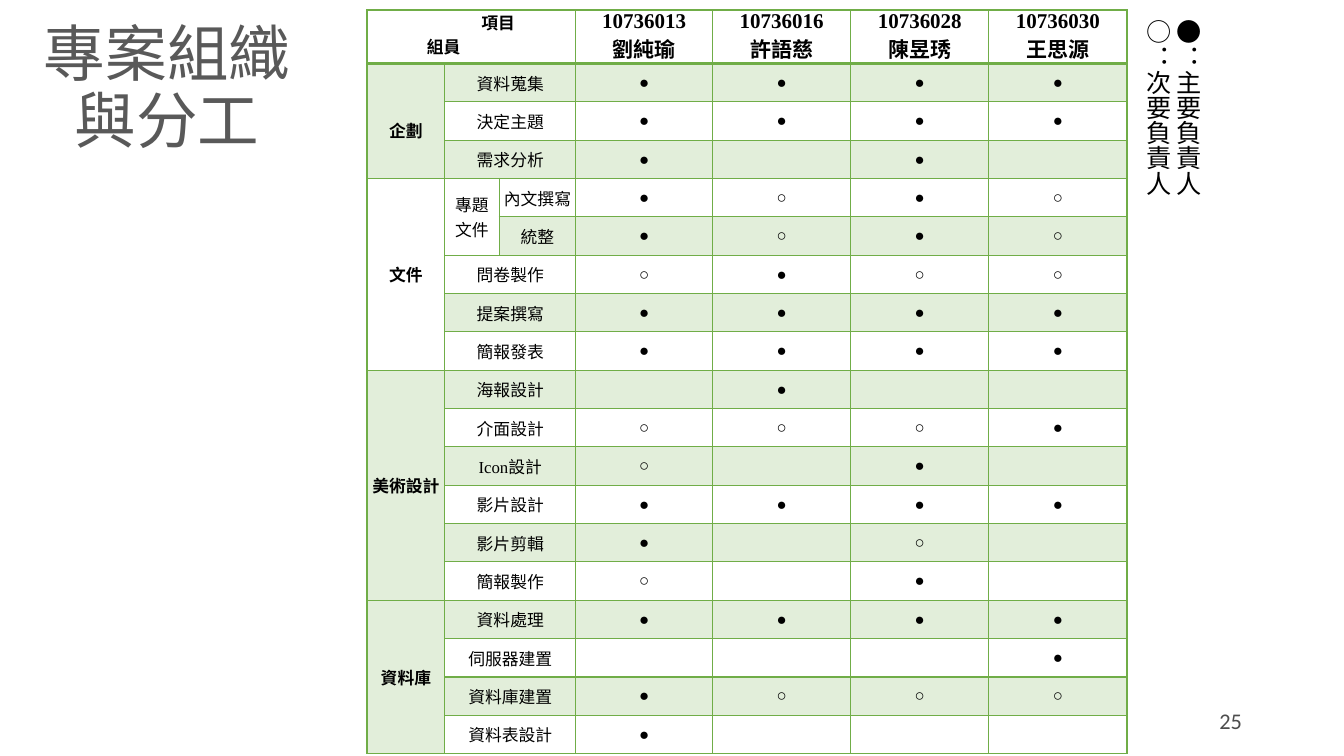
from dataclasses import dataclass

import pptx
import pptx.dml.color
import pptx.enum.text
import pptx.oxml
import pptx.oxml.ns
import pptx.util
from pptx.util import Cm

COLORS = {"green": "70AD47", "title": "595959", "number": "4D4D4D", "text": "000000"}
ALIGN = pptx.enum.text.PP_ALIGN
ANCHOR = pptx.enum.text.MSO_ANCHOR
AUTO_SIZE = pptx.enum.text.MSO_AUTO_SIZE
TABLE_FONT = "Times New Roman"


@dataclass
class Task:
    name: str
    marks: str  # one sign per member, "-" for no role


@dataclass
class Group:
    name: str
    tasks: list[Task]
    top_margin: float = 0


@dataclass
class TextBox:
    lines: list[str]
    left: float
    top: float
    width: float
    height: float
    font: str
    size: float
    color: str
    align: ALIGN = ALIGN.LEFT
    anchor: ANCHOR = ANCHOR.TOP
    margin: float | None = None
    spacing: float | None = None
    vertical: bool = False
    grow: bool = False


MEMBERS = ["10736013\n劉純瑜", "10736016\n許語慈", "10736028\n陳昱琇", "10736030\n王思源"]
GROUPS = [
    Group("企劃", [Task("資料蒐集", "●●●●"), Task("決定主題", "●●●●"),
                 Task("需求分析", "●-●-")], top_margin=0.48),
    Group("文件", [Task("內文撰寫", "●○●○"), Task("統整", "●○●○"), Task("問卷製作", "○●○○"),
                 Task("提案撰寫", "●●●●"), Task("簡報發表", "●●●●")]),
    Group("美術設計", [Task("海報設計", "-●--"), Task("介面設計", "○○○●"), Task("Icon設計", "○-●-"),
                   Task("影片設計", "●●●●"), Task("影片剪輯", "●-○-"), Task("簡報製作", "○-●-")]),
    Group("資料庫", [Task("資料處理", "●●●●"), Task("伺服器建置", "---●"),
                  Task("資料庫建置", "●○○○"), Task("資料表設計", "●---")]),
]
DOCUMENT_PARTS = ["內文撰寫", "統整"]
COL_WIDTHS = [1.96, 1.37, 1.93, 3.45, 3.48, 3.48, 3.48]
HEADER_HEIGHT, BODY_HEIGHT = 1.27, 17.39
FIRST_MARK_COL = 3

TEXT_BOXES = [
    TextBox(["25"], 23.93, 17.65, 7.62, 1.02, "Calibri", 16, "number",
            align=ALIGN.RIGHT, anchor=ANCHOR.MIDDLE),
    TextBox(["專案組織\n與分工"], -10.39, 0.58, 29.21, 3.38, "Roboto", 44, "title",
            align=ALIGN.CENTER, anchor=ANCHOR.MIDDLE, margin=0, spacing=0.9, grow=True),
    TextBox(["●：主要負責人", "○：次要負責人"], 28.4, 0.25, 2.06, 5.13, "Calibri", 18, "text",
            vertical=True, grow=True),
]


def set_font(p, name: str, size: float, color: str, bold: bool = False) -> None:
    p.font.name = name
    p.font.size = pptx.util.Pt(size)
    p.font.bold = bold
    p.font.color.rgb = pptx.dml.color.RGBColor.from_string(COLORS[color])


def style_cell(cell, row: int) -> None:
    """Green borders, and a pale green fill on every odd row."""
    tc_pr = cell._tc.get_or_add_tcPr()
    for side in "LRTB":
        thick = (row == 0 and side == "B") or (row == 1 and side == "T")
        tc_pr.append(pptx.oxml.parse_xml(
            f'<a:ln{side} {pptx.oxml.ns.nsdecls("a")} w="{pptx.util.Pt(2 if thick else 1)}">'
            f'<a:solidFill><a:srgbClr val="{COLORS["green"]}"/></a:solidFill></a:ln{side}>'))
    if row % 2:
        cell.fill.solid()
        cell.fill.fore_color.rgb = pptx.dml.color.RGBColor.from_string(COLORS["green"])
        rgb = tc_pr.find(pptx.oxml.ns.qn("a:solidFill"))[0]
        rgb.append(pptx.oxml.parse_xml(f'<a:alpha {pptx.oxml.ns.nsdecls("a")} val="20000"/>'))
    else:
        cell.fill.background()
    cell.margin_left = cell.margin_right = Cm(0.08)
    cell.margin_top = cell.margin_bottom = 0
    cell.vertical_anchor = ANCHOR.MIDDLE


def write_cell(cell, text: str, size: float = 12, bold: bool = False) -> None:
    cell.text_frame.text = text
    for p in cell.text_frame.paragraphs:
        p.alignment = ALIGN.CENTER
        set_font(p, TABLE_FONT, size, "text", bold)


def draw_table(s) -> None:
    n_tasks = sum(len(group.tasks) for group in GROUPS)
    frame = s.shapes.add_table(n_tasks + 1, len(COL_WIDTHS), Cm(9.25), Cm(0.25),
                               Cm(sum(COL_WIDTHS)), Cm(HEADER_HEIGHT + BODY_HEIGHT))
    table = frame.table
    table.first_row = table.horz_banding = False
    for column, width in zip(table.columns, COL_WIDTHS):
        column.width = Cm(width)
    for i, table_row in enumerate(table.rows):
        table_row.height = Cm(BODY_HEIGHT / n_tasks if i else HEADER_HEIGHT)
        for cell in table_row.cells:
            style_cell(cell, i)

    # Header row
    corner = table.cell(0, 0)
    corner.merge(table.cell(0, FIRST_MARK_COL - 1))
    write_cell(corner, "項目\n組員", bold=True)
    corner.vertical_anchor = ANCHOR.TOP
    for p, indent in zip(corner.text_frame.paragraphs, (2.8, 1.43)):
        p.alignment = ALIGN.LEFT
        p._p.get_or_add_pPr().set("marL", str(Cm(indent)))
    for j, member in enumerate(MEMBERS, FIRST_MARK_COL):
        write_cell(table.cell(0, j), member, 15, True)

    # Groups, tasks and marks
    row = 1
    for group in GROUPS:
        head = table.cell(row, 0)
        head.merge(table.cell(row + len(group.tasks) - 1, 0))
        write_cell(head, group.name, bold=True)
        head.margin_top = Cm(group.top_margin)
        for task in group.tasks:
            if task.name in DOCUMENT_PARTS:
                write_cell(table.cell(row, 2), task.name)
                if task.name == DOCUMENT_PARTS[0]:
                    table.cell(row, 1).merge(table.cell(row + len(DOCUMENT_PARTS) - 1, 1))
                    write_cell(table.cell(row, 1), "專題文件")
            else:
                table.cell(row, 1).merge(table.cell(row, 2))
                write_cell(table.cell(row, 1), task.name)
            for j, mark in enumerate(task.marks, FIRST_MARK_COL):
                if mark != "-":
                    write_cell(table.cell(row, j), mark)
            row += 1


def draw_text(s, box: TextBox) -> None:
    sp = s.shapes.add_textbox(Cm(box.left), Cm(box.top), Cm(box.width), Cm(box.height))
    tf = sp.text_frame
    tf.word_wrap = True
    tf.vertical_anchor = box.anchor
    if box.grow:
        tf.auto_size = AUTO_SIZE.SHAPE_TO_FIT_TEXT
    if box.margin is not None:
        tf.margin_left = tf.margin_right = tf.margin_top = tf.margin_bottom = Cm(box.margin)
    if box.vertical:
        tf._txBody.bodyPr.set("vert", "eaVert")
    for i, line in enumerate(box.lines):
        p = tf.add_paragraph() if i else tf.paragraphs[0]
        p.text = line
        p.alignment = box.align
        p.line_spacing = box.spacing
        set_font(p, box.font, box.size, box.color)


def main() -> None:
    prs = pptx.Presentation()
    prs.slide_width, prs.slide_height = Cm(33.87), Cm(19.05)
    s = prs.slides.add_slide(prs.slide_layouts[6])
    draw_table(s)
    for box in TEXT_BOXES:
        draw_text(s, box)
    prs.save("out.pptx")


if __name__ == "__main__":
    main()
